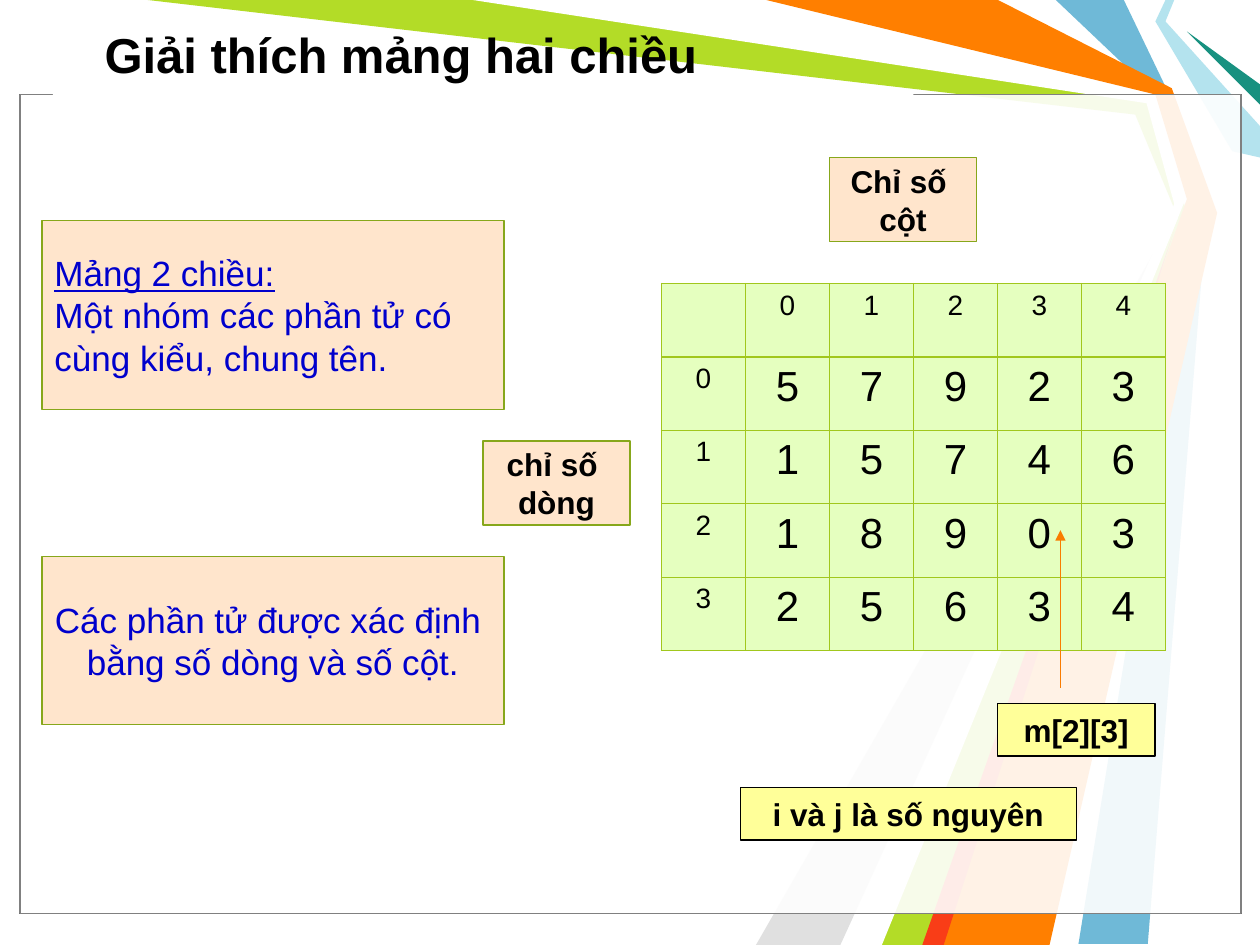
"""Build a slide that explains two-dimensional arrays."""
from dataclasses import dataclass
from typing import Optional

from lxml import etree
from pptx import Presentation
from pptx.dml.color import RGBColor
from pptx.enum.shapes import MSO_CONNECTOR, MSO_SHAPE
from pptx.enum.text import MSO_ANCHOR, PP_ALIGN
from pptx.oxml.ns import qn
from pptx.util import Inches, Pt

RECTANGLE = MSO_SHAPE.RECTANGLE
STRAIGHT = MSO_CONNECTOR.STRAIGHT
MIDDLE = MSO_ANCHOR.MIDDLE
LEFT, CENTER = PP_ALIGN.LEFT, PP_ALIGN.CENTER

BLACK = RGBColor(0x00, 0x00, 0x00)
WHITE = RGBColor(0xFF, 0xFF, 0xFF)
GRAY = RGBColor(0x80, 0x80, 0x80)
SILVER = RGBColor(0xE0, 0xE0, 0xE0)
SKY = RGBColor(0x6F, 0xB9, 0xD7)
PALE_SKY = RGBColor(0xB4, 0xE3, 0xEE)
LIME = RGBColor(0xB3, 0xDC, 0x27)
TEAL = RGBColor(0x18, 0x91, 0x80)
ORANGE = RGBColor(0xFF, 0x7F, 0x00)
RED = RGBColor(0xF9, 0x3D, 0x17)
ARROW_ORANGE = RGBColor(0xF9, 0x7C, 0x00)
PEACH = RGBColor(0xFF, 0xE5, 0xCC)
OLIVE = RGBColor(0x87, 0xA7, 0x1B)
YELLOW = RGBColor(0xFF, 0xFF, 0x99)
BLUE = RGBColor(0x00, 0x00, 0xCC)
CELL_GREEN = RGBColor(0xE5, 0xFF, 0xBF)
BORDER_GREEN = "A1C71D"

THIN = Pt(0.75)
UNIT = Inches(1) / 12
FINE_UNIT = Inches(0.01)
TITLE_FORMAT = {"name": "Arial", "size": Pt(28), "bold": True}
LABEL_FORMAT = {"name": "Arial", "size": Pt(18), "bold": True}
NOTE_FORMAT = {"name": "Arial", "size": Pt(20), "bold": False}
INDEX_FORMAT = {"name": "Arial", "size": Pt(16)}
VALUE_FORMAT = {"name": "Arial", "size": Pt(24)}


@dataclass(frozen=True)
class Ribbon:
    """A coloured strip with corners in hundredths of an inch."""
    color: RGBColor
    points: list


@dataclass(frozen=True)
class Panel:
    """A rectangle in inches, with optional outline and opacity."""
    box: tuple
    line: Optional[RGBColor] = None
    opacity: Optional[int] = None


@dataclass(frozen=True)
class Label:
    """A text box placed on a grid of twelfths of an inch."""
    box: tuple
    lines: list
    fill: RGBColor = PEACH
    line: RGBColor = OLIVE
    color: RGBColor = BLACK
    formats: tuple = tuple(LABEL_FORMAT.items())
    align: PP_ALIGN = CENTER
    underline_first: bool = False


RIBBONS = [
    Ribbon(SKY, [(892, 0), (929, 77), (958, 167), (911, 749), (856, 749),
                 (950, 167), (917, 75), (838, 0)]),
    Ribbon(LIME, [(117, 0), (383, 0), (914, 78), (942, 169), (742, 750),
                  (692, 750), (935, 173), (901, 91)]),
    Ribbon(SILVER, [(667, 750), (927, 181), (600, 750)]),
    Ribbon(WHITE, [(375, 0), (910, 82), (932, 162), (675, 750), (700, 750),
                   (941, 158), (917, 75), (600, 0)]),
    Ribbon(PALE_SKY, [(925, 0), (917, 17), (978, 120), (1000, 125),
                      (1000, 100), (925, 17), (932, 0)]),
    Ribbon(TEAL, [(1000, 83), (942, 25), (1000, 67)]),
    Ribbon(ORANGE, [(608, 0), (792, 0), (930, 70), (966, 169), (833, 750),
                    (733, 750), (942, 158), (917, 75)]),
    Ribbon(RED, [(732, 750), (932, 183), (749, 750)]),
]
FRAME = (0.16, 0.75, 9.69, 6.5)
PANELS = [
    Panel(FRAME, BLACK, 69),
    Panel(FRAME, GRAY, 69),
    Panel((0.42, 0.74, 6.83, 0.17)),
]
LABELS = [
    Label((95, 67, 15, 5), ["m[2][3]"], YELLOW, BLACK),
    Label((79, 15, 14, 8), ["Chỉ số ", "cột"]),
    Label((70.5, 75, 32, 5), ["i và j là số nguyên"], YELLOW, BLACK),
    Label((46, 42, 14, 8), ["chỉ số ", "dòng"]),
    Label((4, 21, 44, 18),
          ["Mảng 2 chiều:", "Một nhóm các phần tử có", "cùng kiểu, chung tên."],
          color=BLUE, formats=tuple(NOTE_FORMAT.items()), align=LEFT,
          underline_first=True),
    Label((4, 53, 44, 16),
          ["Các phần tử được xác định ", "bằng số dòng và số cột."],
          color=BLUE, formats=tuple(NOTE_FORMAT.items())),
]
ARRAY = [[5, 7, 9, 2, 3], [1, 5, 7, 4, 6], [1, 8, 9, 0, 3], [2, 5, 6, 3, 4]]


def grid(*values) -> list:
    """Convert grid units to lengths."""
    return [round(value * UNIT) for value in values]


def format_font(font, formats: dict, color: RGBColor) -> None:
    """Apply format values and a colour to a font."""
    for name, value in formats.items():
        setattr(font, name, value)
    font.color.rgb = color


def paint(shape, fill: RGBColor, line: Optional[RGBColor] = None) -> None:
    """Give a shape a flat fill and a thin outline or none."""
    shape.shadow.inherit = False
    shape.fill.solid()
    shape.fill.fore_color.rgb = fill
    if line is None:
        shape.line.fill.background()
    else:
        shape.line.color.rgb = line
        shape.line.width = THIN


def draw_ribbon(slide, ribbon: Ribbon) -> None:
    """Draw one decorative strip."""
    start, *rest = ribbon.points
    builder = slide.shapes.build_freeform(*start, scale=FINE_UNIT)
    builder.add_line_segments(rest, close=True)
    paint(builder.convert_to_shape(), ribbon.color)


def draw_panel(slide, panel: Panel) -> None:
    """Draw one white background panel."""
    shape = slide.shapes.add_shape(RECTANGLE, *map(Inches, panel.box))
    paint(shape, WHITE, panel.line)
    if panel.opacity is not None:
        color = shape._element.spPr.find(qn("a:solidFill"))[0]
        etree.SubElement(color, qn("a:alpha"), val=str(panel.opacity * 1000))


def draw_label(slide, label: Label) -> None:
    """Draw one filled box with its lines of text."""
    shape = slide.shapes.add_shape(RECTANGLE, *grid(*label.box))
    paint(shape, label.fill, label.line)
    frame = shape.text_frame
    frame.word_wrap = False
    frame.vertical_anchor = MIDDLE
    frame.text = "\n".join(label.lines)
    for index, paragraph in enumerate(frame.paragraphs):
        paragraph.alignment = label.align
        font = paragraph.runs[0].font
        format_font(font, dict(label.formats), label.color)
        font.underline = label.underline_first and index == 0


def draw_title(slide, text: str) -> None:
    """Place the title placeholder in front of the background."""
    title = slide.shapes.title
    slide.shapes._spTree.append(title._element)
    title.left, title.top, title.width, title.height = map(Inches, (0.73, 0.08, 9.11, 0.69))
    title.text_frame.text = text
    title.text_frame.vertical_anchor = MIDDLE
    paragraph = title.text_frame.paragraphs[0]
    paragraph.alignment = LEFT
    format_font(paragraph.runs[0].font, TITLE_FORMAT, BLACK)


def add_borders(cell) -> None:
    """Outline every side of a table cell."""
    properties = cell._tc.get_or_add_tcPr()
    for position, side in enumerate(("lnL", "lnR", "lnT", "lnB")):
        border = etree.Element(qn(f"a:{side}"), w=str(THIN))
        fill = etree.SubElement(border, qn("a:solidFill"))
        etree.SubElement(fill, qn("a:srgbClr"), val=BORDER_GREEN)
        properties.insert(position, border)


def draw_array(slide, values: list) -> None:
    """Draw the array as a table with row and column indices."""
    rows = [["", *range(len(values[0]))]]
    rows += [[index, *row] for index, row in enumerate(values)]
    table = slide.shapes.add_table(len(rows), len(rows[0]), *grid(63, 27, 48, 35)).table
    for row_index, row in enumerate(rows):
        for column_index, value in enumerate(row):
            cell = table.cell(row_index, column_index)
            cell.fill.solid()
            cell.fill.fore_color.rgb = CELL_GREEN
            add_borders(cell)
            cell.text = str(value)
            paragraph = cell.text_frame.paragraphs[0]
            paragraph.alignment = CENTER
            formats = VALUE_FORMAT if row_index and column_index else INDEX_FORMAT
            format_font(paragraph.font, {**formats, "bold": False}, BLACK)


def draw_arrow(slide) -> None:
    """Point from the element label up to its cell."""
    arrow = slide.shapes.add_connector(STRAIGHT, *grid(101, 65.5, 101, 50.5))
    arrow.line.color.rgb = ARROW_ORANGE
    arrow.line.width = THIN
    etree.SubElement(arrow.line._get_or_add_ln(), qn("a:tailEnd"), type="triangle")
    etree.SubElement(arrow._element.spPr, qn("a:effectLst"))


def main() -> None:
    """Build and save the presentation."""
    presentation = Presentation()
    presentation.slide_width, presentation.slide_height = Inches(10), Inches(7.5)
    slide = presentation.slides.add_slide(presentation.slide_layouts.get_by_name("Title Only"))
    for ribbon in RIBBONS:
        draw_ribbon(slide, ribbon)
    for panel in PANELS:
        draw_panel(slide, panel)
    draw_title(slide, "Giải thích mảng hai chiều")
    draw_array(slide, ARRAY)
    draw_arrow(slide)
    for label in LABELS:
        draw_label(slide, label)
    presentation.save("out.pptx")


if __name__ == "__main__":
    main()
